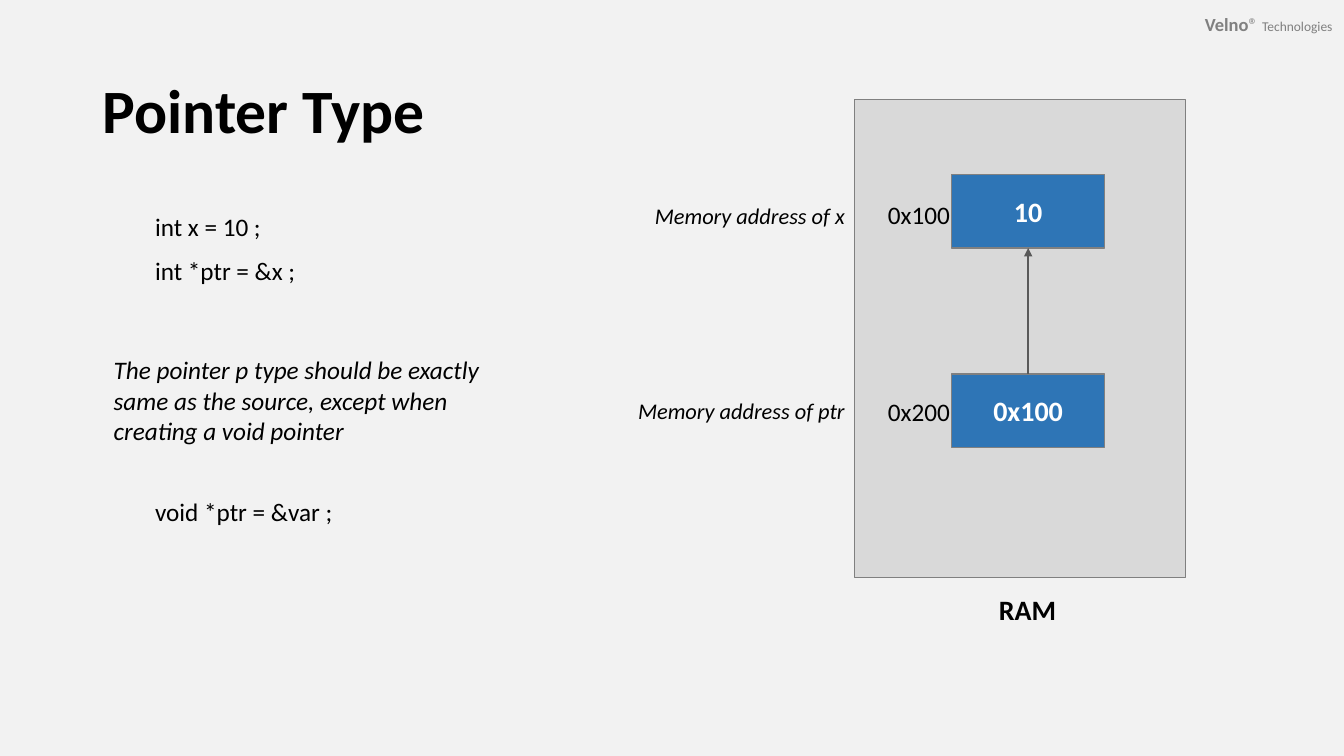
from dataclasses import dataclass

from lxml.etree import SubElement
from pptx import Presentation
from pptx.dml.color import RGBColor
from pptx.enum.shapes import MSO_CONNECTOR as Connector, MSO_SHAPE as Preset
from pptx.enum.text import MSO_ANCHOR as Anchor, MSO_AUTO_SIZE as AutoSize, PP_ALIGN as Align
from pptx.oxml.ns import qn
from pptx.shapes.autoshape import Shape
from pptx.shapes.connector import Connector as ConnectorShape
from pptx.slide import Slide
from pptx.text.text import _Run as Run
from pptx.util import Pt


@dataclass(frozen=True)
class Theme:
    font: str = "Calibri"
    background: str = "F2F2F2"
    panel: str = "D9D9D9"
    cell: str = "2E75B6"
    outline: str = "808080"
    arrow: str = "595959"
    ink: str = "000000"
    cell_ink: str = "FFFFFF"
    brand_ink: str = "808080"
    title_size: float = 44
    value_size: float = 20
    body_size: float = 18
    caption_size: float = 16
    brand_size: float = 13.2
    brand_small_size: float = 9.6


THEME = Theme()


@dataclass(frozen=True)
class Box:
    left: float
    top: float
    width: float
    height: float

    def lengths(self) -> tuple[Pt, Pt, Pt, Pt]:
        return Pt(self.left), Pt(self.top), Pt(self.width), Pt(self.height)


@dataclass(frozen=True)
class Label:
    text: str
    box: Box
    size: float = THEME.body_size
    bold: bool = False
    italic: bool = False
    align: Align = Align.LEFT
    anchor: Anchor = Anchor.TOP


@dataclass(frozen=True)
class MemoryCell:
    value: str
    top: float
    address: str
    address_box: Box
    caption: str
    caption_top: float


SLIDE_WIDTH, SLIDE_HEIGHT = 960, 540
TITLE_BOX = Box(66.24, 28.8, 828, 104.4)
BRAND_BOX = Box(821.52, 0.72, 138.96, 32.4)
RAM_BOX = Box(610.56, 71.28, 236.16, 341.28)
CELL_LEFT, CELL_WIDTH, CELL_HEIGHT = 679.68, 109.44, 52.56
CAPTION_LEFT, CAPTION_WIDTH, CAPTION_HEIGHT = 443.52, 167.04, 26.64
CODE_LEFT, CODE_HEIGHT = 103.68, 28.8

LABELS = [
    Label("int x = 10 ;", Box(CODE_LEFT, 147.6, 125.28, CODE_HEIGHT)),
    Label("int *ptr = &x ;", Box(CODE_LEFT, 178.56, 125.28, CODE_HEIGHT)),
    Label("The pointer p type should be exactly same as the source, "
          "except when creating a void pointer",
          Box(74.16, 249.84, 278.64, 72.72), italic=True),
    Label("void *ptr = &var ;", Box(CODE_LEFT, 350.64, 156.24, CODE_HEIGHT)),
    Label("RAM", Box(655.92, 419.76, 156.24, 31.68), THEME.value_size,
          bold=True, align=Align.CENTER),
]
VARIABLE = MemoryCell("10", 124.56, "0x100", Box(627.12, 139.68, 73.44, 27.36),
                      "Memory address of x", 141.12)
POINTER = MemoryCell("0x100", 267.12, "0x200", Box(627.12, 274.32, 78.48, 38.88),
                     "Memory address of ptr", 280.08)


def color(value: str) -> RGBColor:
    return RGBColor.from_string(value)


def format_run(run: Run, size: float, ink: str, bold: bool = False,
               italic: bool = False) -> None:
    font = run.font
    font.name, font.size = THEME.font, Pt(size)
    font.bold, font.italic = bold, italic
    font.color.rgb = color(ink)


def write(shape: Shape, label: Label, ink: str = THEME.ink) -> None:
    frame = shape.text_frame
    frame.text = label.text
    frame.word_wrap = True
    frame.auto_size = AutoSize.NONE
    frame.vertical_anchor = label.anchor
    paragraph = frame.paragraphs[0]
    paragraph.alignment = label.align
    format_run(paragraph.runs[0], label.size, ink, label.bold, label.italic)


def add_label(slide: Slide, label: Label) -> None:
    write(slide.shapes.add_textbox(*label.box.lengths()), label)


def add_rectangle(slide: Slide, box: Box, fill: str) -> Shape:
    rectangle = slide.shapes.add_shape(Preset.RECTANGLE, *box.lengths())
    rectangle.shadow.inherit = False
    rectangle.fill.solid()
    rectangle.fill.fore_color.rgb = color(fill)
    rectangle.line.color.rgb = color(THEME.outline)
    rectangle.line.width = Pt(1)
    return rectangle


def add_memory_cell(slide: Slide, cell: MemoryCell) -> Shape:
    """Draw a cell with its address and caption, and return the rectangle."""
    box = Box(CELL_LEFT, cell.top, CELL_WIDTH, CELL_HEIGHT)
    rectangle = add_rectangle(slide, box, THEME.cell)
    write(rectangle, Label(cell.value, box, THEME.value_size, bold=True,
                           align=Align.CENTER, anchor=Anchor.MIDDLE), THEME.cell_ink)
    add_label(slide, Label(cell.address, cell.address_box, anchor=Anchor.MIDDLE))
    caption_box = Box(CAPTION_LEFT, cell.caption_top, CAPTION_WIDTH, CAPTION_HEIGHT)
    add_label(slide, Label(cell.caption, caption_box, THEME.caption_size,
                           italic=True, align=Align.RIGHT))
    return rectangle


def add_upward_arrow(slide: Slide, lower: Shape, upper: Shape) -> ConnectorShape:
    arrow = slide.shapes.add_connector(Connector.STRAIGHT, 0, 0, 0, 0)
    arrow.begin_connect(lower, 0)
    arrow.end_connect(upper, 2)
    arrow.line.color.rgb = color(THEME.arrow)
    arrow.line.width = Pt(1.5)
    SubElement(arrow.line._get_or_add_ln(), qn("a:tailEnd"), type="triangle")
    SubElement(arrow._element.spPr, qn("a:effectLst"))
    return arrow


def add_title(slide: Slide) -> None:
    title = slide.shapes.title
    title.left, title.top, title.width, title.height = TITLE_BOX.lengths()
    write(title, Label("Pointer Type", TITLE_BOX, THEME.title_size, bold=True,
                       anchor=Anchor.MIDDLE))
    title.text_frame.paragraphs[0].line_spacing = 0.9


def add_brand(slide: Slide) -> None:
    frame = slide.shapes.add_textbox(*BRAND_BOX.lengths()).text_frame
    frame.word_wrap = True
    frame.vertical_anchor = Anchor.MIDDLE
    frame.margin_left = frame.margin_right = Pt(8.64)
    frame.margin_top = frame.margin_bottom = Pt(4.32)
    paragraph = frame.paragraphs[0]
    paragraph.alignment = Align.RIGHT
    for text, size, bold in (("Velno", THEME.brand_size, True),
                             ("® ", THEME.brand_size, False),
                             ("Technologies", THEME.brand_small_size, False)):
        run = paragraph.add_run()
        run.text = text
        format_run(run, size, THEME.brand_ink, bold)


def main() -> None:
    presentation = Presentation()
    presentation.slide_width, presentation.slide_height = Pt(SLIDE_WIDTH), Pt(SLIDE_HEIGHT)
    slide = presentation.slides.add_slide(presentation.slide_layouts.get_by_name("Title Only"))
    slide.background.fill.solid()
    slide.background.fill.fore_color.rgb = color(THEME.background)

    add_brand(slide)
    add_rectangle(slide, RAM_BOX, THEME.panel)
    add_title(slide)
    variable = add_memory_cell(slide, VARIABLE)
    pointer = add_memory_cell(slide, POINTER)
    add_upward_arrow(slide, pointer, variable)
    for label in LABELS:
        add_label(slide, label)
    presentation.save("out.pptx")


if __name__ == "__main__":
    main()
